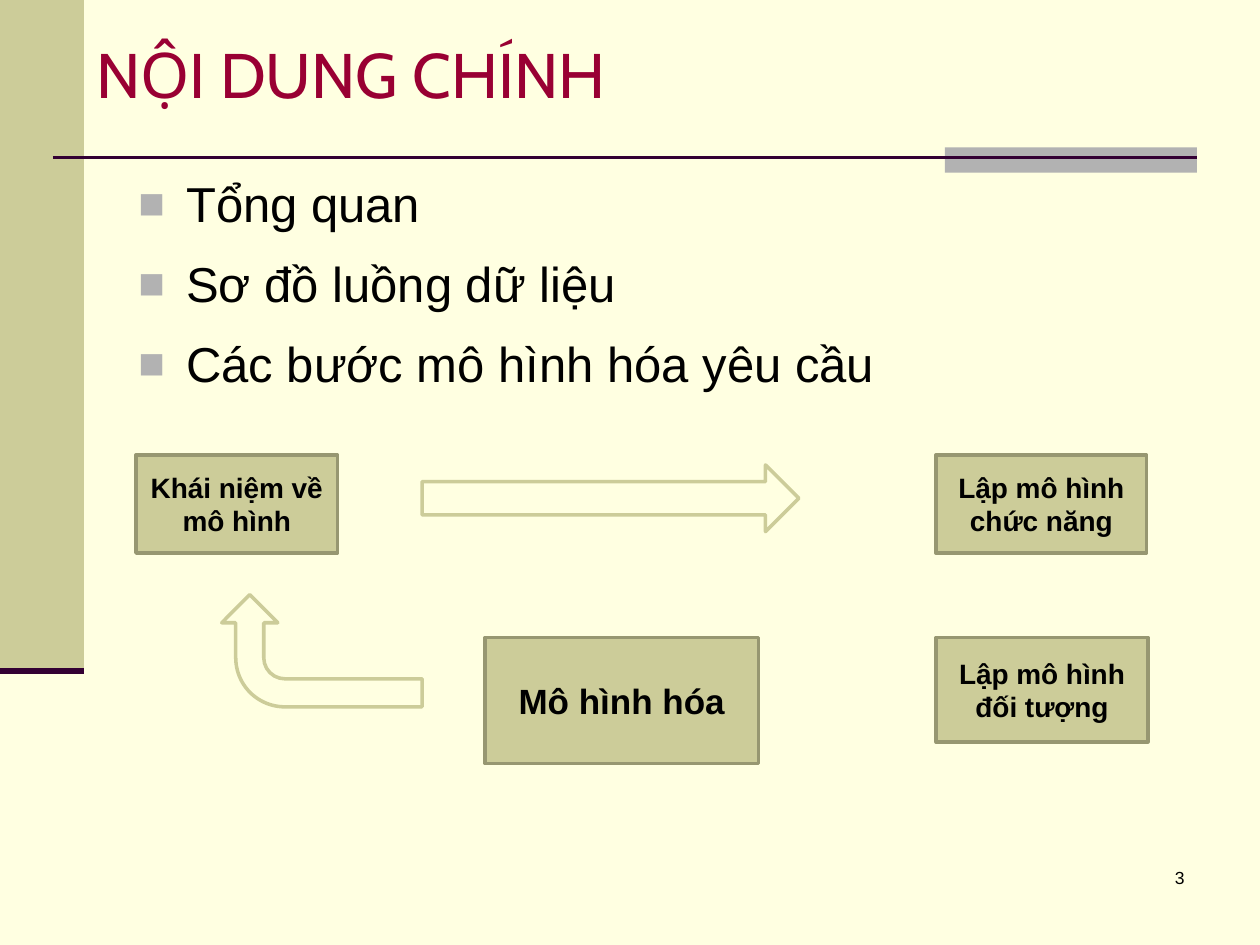
"""Build the table-of-contents slide with its modelling diagram."""
from lxml import etree
from pptx import Presentation
from pptx.dml.color import RGBColor
from pptx.enum.shapes import MSO_CONNECTOR, MSO_SHAPE
from pptx.enum.text import MSO_ANCHOR, MSO_AUTO_SIZE, PP_ALIGN
from pptx.oxml.ns import qn
from pptx.util import Inches, Pt

CREAM = RGBColor(0xFF, 0xFF, 0xE1)
KHAKI = RGBColor(0xCC, 0xCC, 0x99)
OLIVE = RGBColor(0x97, 0x97, 0x71)
GRAY = RGBColor(0xB2, 0xB2, 0xB2)
PLUM = RGBColor(0x33, 0x00, 0x33)
CRIMSON = RGBColor(0x99, 0x00, 0x33)
BLACK = RGBColor(0, 0, 0)
RECTANGLE = MSO_SHAPE.RECTANGLE
RIGHT_ARROW = MSO_SHAPE.RIGHT_ARROW
BENT_ARROW = MSO_SHAPE.BENT_ARROW
STRAIGHT = MSO_CONNECTOR.STRAIGHT
TOP, MIDDLE = MSO_ANCHOR.TOP, MSO_ANCHOR.MIDDLE
LEFT, CENTER, RIGHT = PP_ALIGN.LEFT, PP_ALIGN.CENTER, PP_ALIGN.RIGHT
NO_AUTOFIT = MSO_AUTO_SIZE.NONE

WIDTH, HEIGHT = 10, 7.5
SIDEBAR_WIDTH, SIDEBAR_HEIGHT = WIDTH / 15, HEIGHT * 0.71
RIGHT_EDGE = WIDTH * 0.95
RULE_Y = WIDTH / 8
COLUMNS = (1.08, 3.85, 7.43)
ROWS = (3.61, 5.06)

TITLE = "NỘI DUNG CHÍNH"
TOPICS = ["Tổng quan", "Sơ đồ luồng dữ liệu", "Các bước mô hình hóa yêu cầu"]
PAGE_NUMBER = "3"
BOXES = [
    ("Khái niệm về mô hình", 0, 0, 1.6, 0.78, 16),
    ("Mô hình hóa", 1, 1, 2.17, 1, 20),
    ("Lập mô hình đối tượng", 2, 1, 1.68, 0.83, 16),
    ("Lập mô hình chức năng", 2, 0, 1.67, 0.78, 16),
]
ARROWS = [
    (RIGHT_ARROW, (3.35, 3.69, 2.99, 0.53), 0),
    (BENT_ARROW, (2.11, 4.37, 0.89, 1.59), 270),
]
RULES = [
    ((0.42, RULE_Y), (RIGHT_EDGE, RULE_Y), 1.5),
    ((0, SIDEBAR_HEIGHT), (SIDEBAR_WIDTH, SIDEBAR_HEIGHT), 3.5),
]


def add_bullet(paragraph):
    properties = paragraph._p.get_or_add_pPr()
    properties.set("marL", str(Inches(0.38)))
    properties.set("indent", str(-Inches(0.38)))
    color = etree.SubElement(properties, qn("a:buClr"))
    etree.SubElement(color, qn("a:srgbClr"), val=str(GRAY))
    etree.SubElement(properties, qn("a:buSzPct"), val="90000")
    etree.SubElement(properties, qn("a:buFont"), typeface="Arial")
    etree.SubElement(properties, qn("a:buChar"), char="■")


def write_text(shape, lines, size, font="Arial", color=BLACK, bold=False,
               align=LEFT, anchor=TOP, bullets=False, spacing=0):
    frame = shape.text_frame
    frame.word_wrap = True
    frame.auto_size = NO_AUTOFIT
    frame.vertical_anchor = anchor
    for index, line in enumerate(lines):
        paragraph = frame.add_paragraph() if index else frame.paragraphs[0]
        paragraph.text = line
        paragraph.alignment = align
        if bullets:
            add_bullet(paragraph)
        paragraph.space_before = Pt(spacing if index else 0)
        paragraph.space_after = Pt(spacing)
        text_font = paragraph.runs[0].font
        text_font.name, text_font.size, text_font.bold = font, Pt(size), bold
        text_font.color.rgb = color


def add_box(slide, kind, place, fill, outline=None, rotation=0):
    shape = slide.shapes.add_shape(kind, *map(Inches, place))
    shape.shadow.inherit = False
    shape.rotation = rotation
    shape.fill.solid()
    shape.fill.fore_color.rgb = fill
    if outline is None:
        shape.line.fill.background()
    else:
        shape.line.color.rgb = outline
        shape.line.width = Pt(2)
    return shape


def add_rule(slide, start, end, weight):
    rule = slide.shapes.add_connector(STRAIGHT, *map(Inches, start + end))
    rule.line.color.rgb = PLUM
    rule.line.width = Pt(weight)
    etree.SubElement(rule._element.spPr, qn("a:effectLst"))


def main():
    presentation = Presentation()
    presentation.slide_width, presentation.slide_height = Inches(WIDTH), Inches(HEIGHT)
    slide = presentation.slides.add_slide(presentation.slide_layouts[5])
    slide.background.fill.solid()
    slide.background.fill.fore_color.rgb = CREAM

    add_box(slide, RECTANGLE, (0, 0, SIDEBAR_WIDTH, SIDEBAR_HEIGHT), KHAKI)
    add_box(slide, RECTANGLE, (RIGHT_EDGE - 2, 1.17, 2, 0.2), GRAY)
    for start, end, weight in RULES:
        add_rule(slide, start, end, weight)

    title = slide.shapes.title
    title.left, title.top = Inches(SIDEBAR_WIDTH), 0
    title.width, title.height = Inches(WIDTH - SIDEBAR_WIDTH), Inches(1.17)
    write_text(title, [TITLE], 36, font="Cabin", color=CRIMSON, anchor=MIDDLE)

    topics = slide.shapes.add_textbox(*map(Inches, (1, 1.33, 8.5, 5.2)))
    write_text(topics, TOPICS, 28, bullets=True, spacing=6)
    number = slide.shapes.add_textbox(*map(Inches, (7.42, 6.83, 2.08, 0.5)))
    write_text(number, [PAGE_NUMBER], 10, align=RIGHT)

    for text, column, row, width, height, size in BOXES:
        place = (COLUMNS[column], ROWS[row], width, height)
        box = add_box(slide, RECTANGLE, place, KHAKI, OLIVE)
        write_text(box, [text], size, bold=True, align=CENTER, anchor=MIDDLE)
    for kind, place, rotation in ARROWS:
        add_box(slide, kind, place, CREAM, KHAKI, rotation)

    presentation.save("out.pptx")


if __name__ == "__main__":
    main()
